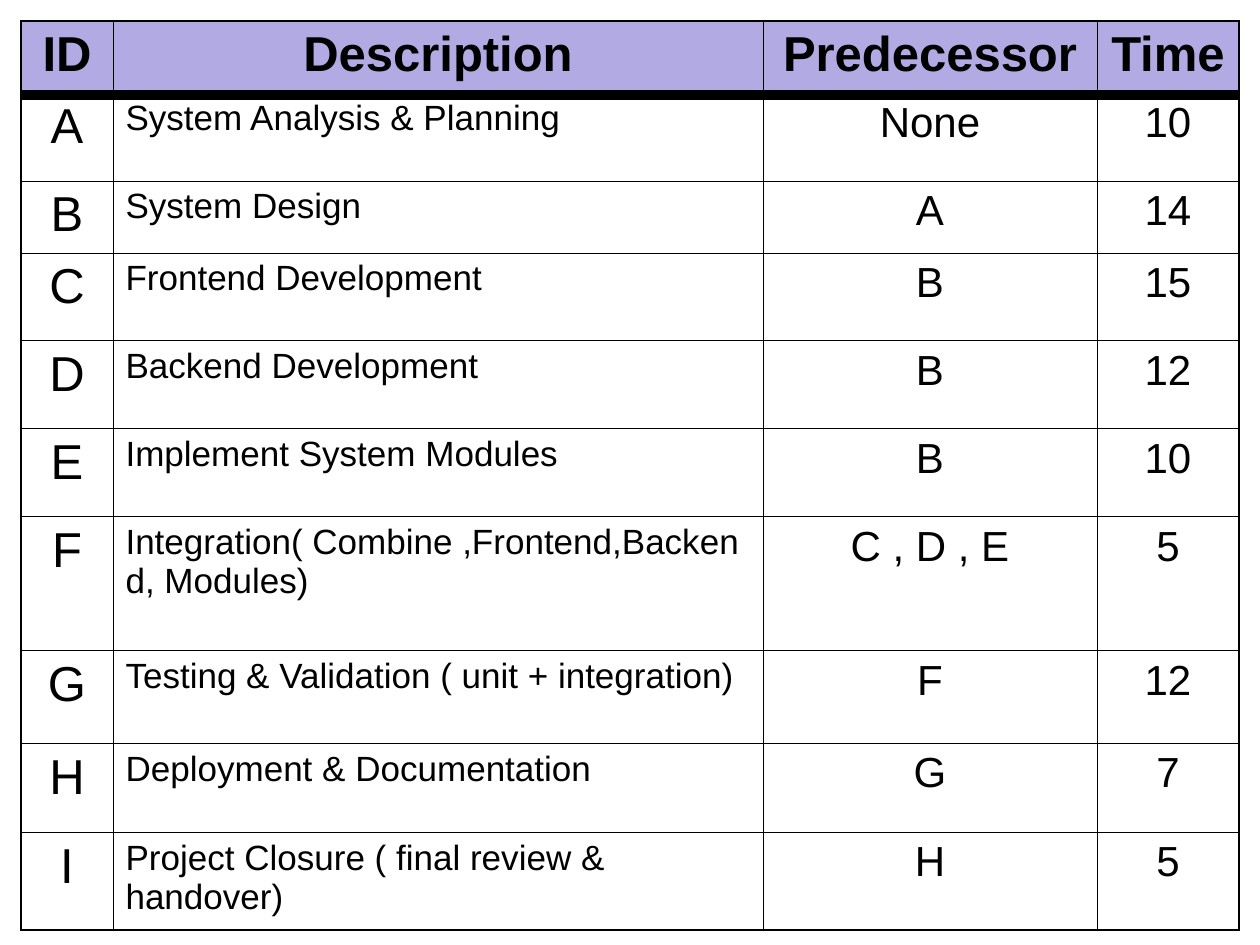
from lxml.etree import SubElement
from pptx import Presentation
from pptx.dml.color import RGBColor
from pptx.enum.shapes import MSO_CONNECTOR
from pptx.enum.text import PP_ALIGN
from pptx.oxml.ns import qn
from pptx.util import Emu, Pt

PX_PER_INCH = 126
FONT = "Arial"
BLACK = RGBColor(0x00, 0x00, 0x00)
LAVENDER = RGBColor(0xB2, 0xAB, 0xE3)

THIN, THICK = 0.45, 1.08
LEFT, TOP = 21, 21
COLUMN_WIDTHS = [92, 650, 334, 142]
ROW_HEIGHTS = [72, 88, 72, 88, 88, 88, 134, 93, 89, 97]
BODY_SIZES = [28, 20, 24, 24]
HEADINGS = ["ID", "Description", "Predecessor", "Time"]
TASKS = [
    ["A", "System Analysis & Planning", "None", "10"],
    ["B", "System Design", "A", "14"],
    ["C", "Frontend Development", "B", "15"],
    ["D", "Backend Development", "B", "12"],
    ["E", "Implement System Modules", "B", "10"],
    ["F", "Integration( Combine ,Frontend,Backend, Modules)", "C , D , E", "5"],
    ["G", "Testing & Validation ( unit + integration)", "F", "12"],
    ["H", "Deployment & Documentation", "G", "7"],
    ["I", "Project Closure ( final review & handover)", "H", "5"],
]


def px(length):
    return Emu(round(length * 914400 / PX_PER_INCH))


def write_text(cell, text, size, bold=False, align=PP_ALIGN.CENTER):
    para = cell.text_frame.paragraphs[0]
    para.alignment = align
    span = para.add_run()
    span.text = text
    span.font.name = FONT
    span.font.size = Pt(size)
    span.font.bold = bold
    span.font.color.rgb = BLACK


def set_borders(cell, **widths):
    """Draw the cell edges; widths are points keyed by L, R, T and B, in that order."""
    properties = cell._tc.get_or_add_tcPr()
    for side, width in widths.items():
        line = SubElement(properties, qn(f"a:ln{side}"), w=str(Pt(width)))
        fill = SubElement(line, qn("a:solidFill"))
        SubElement(fill, qn("a:srgbClr"), val=str(BLACK))


def add_task_table(page):
    rows = [HEADINGS] + TASKS
    last_row, last_column = len(rows) - 1, len(HEADINGS) - 1
    frame = page.shapes.add_table(
        len(rows), len(HEADINGS), px(LEFT), px(TOP),
        px(sum(COLUMN_WIDTHS)), px(sum(ROW_HEIGHTS)))
    table = frame.table
    table.first_row = False
    table.horz_banding = False
    for column, width in zip(table.columns, COLUMN_WIDTHS):
        column.width = px(width)
    for row, height in zip(table.rows, ROW_HEIGHTS):
        row.height = px(height)

    for r, texts in enumerate(rows):
        for c, text in enumerate(texts):
            cell = table.cell(r, c)
            set_borders(
                cell,
                L=THICK if c == 0 else THIN,
                R=THICK if c == last_column else THIN,
                T=THICK if r == 0 else THIN,
                B=THICK if r == last_row else THIN)
            if r == 0:
                cell.fill.solid()
                cell.fill.fore_color.rgb = LAVENDER
                write_text(cell, text, 28, bold=True)
            else:
                cell.fill.background()
                align = PP_ALIGN.LEFT if c == 1 else PP_ALIGN.CENTER
                write_text(cell, text, BODY_SIZES[c], align=align)


def add_rule(page, left, right, y, width):
    rule = page.shapes.add_connector(
        MSO_CONNECTOR.STRAIGHT, px(left), px(y), px(right), px(y))
    rule.line.color.rgb = BLACK
    rule.line.width = Pt(width)
    SubElement(rule._element.spPr, qn("a:effectLst"))


def main():
    deck = Presentation()
    deck.slide_width = px(1260)
    deck.slide_height = px(945)
    page = deck.slides.add_slide(deck.slide_layouts[6])
    add_task_table(page)
    add_rule(page, LEFT, LEFT + sum(COLUMN_WIDTHS), y=95, width=6)
    deck.save("out.pptx")


if __name__ == "__main__":
    main()
